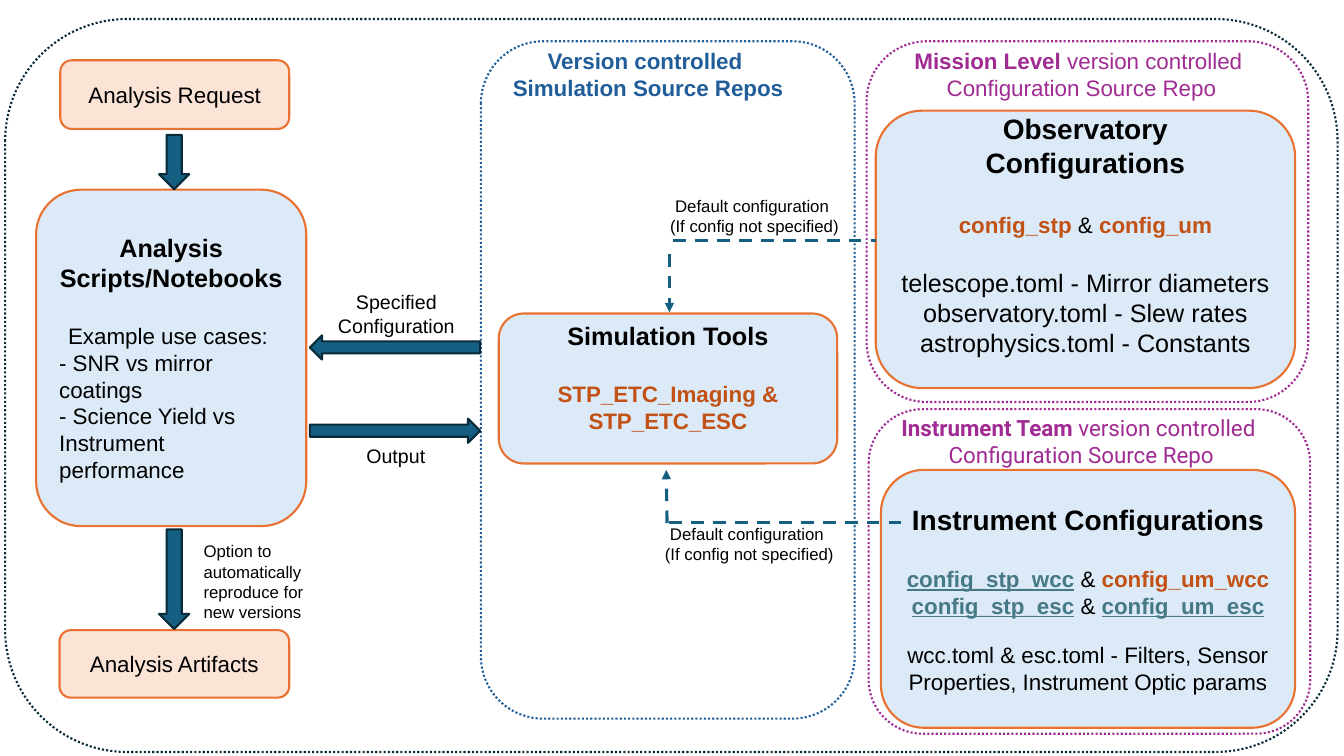
from dataclasses import dataclass

from lxml import etree
from pptx import Presentation
from pptx import util as u
from pptx.dml.color import RGBColor
from pptx.enum import dml, shapes, text
from pptx.oxml.ns import qn

BLACK = RGBColor(0x00, 0x00, 0x00)
NAVY = RGBColor(0x09, 0x2A, 0x39)
TEAL = RGBColor(0x15, 0x60, 0x82)
BLUE = RGBColor(0x21, 0x5F, 0x9A)
TITLE_BLUE = RGBColor(0x21, 0x5E, 0x99)
PURPLE = RGBColor(0xA0, 0x2B, 0x93)
ORANGE = RGBColor(0xE9, 0x71, 0x32)
RUST = RGBColor(0xC2, 0x51, 0x15)
LINK = RGBColor(0x46, 0x78, 0x86)
PALE_BLUE = RGBColor(0xDC, 0xEA, 0xF7)
PEACH = RGBColor(0xFB, 0xE3, 0xD6)

CENTER = text.PP_ALIGN.CENTER
LEFT = text.PP_ALIGN.LEFT
SHAPE = shapes.MSO_SHAPE


@dataclass
class Span:
    text: str
    color: RGBColor = BLACK
    bold: bool = False
    underline: bool = False


@dataclass
class Para:
    spans: list
    size: float = 16
    align: int = CENTER
    before: float = 0


def line(words, size=16, color=BLACK, bold=False, align=CENTER, before=0):
    """Paragraph made of a single span."""
    return Para([Span(words, color, bold)], size, align, before)


class Diagram:
    def __init__(self, slide, font="Arial"):
        self.slide = slide
        self.font = font

    def shape(self, kind, place, fill, outline):
        shape = self.slide.shapes.add_shape(kind, *map(u.Cm, place))
        shape.shadow.inherit = False
        if fill is None:
            shape.fill.background()
        else:
            shape.fill.solid()
            shape.fill.fore_color.rgb = fill
        shape.line.color.rgb = outline
        shape.line.width = u.Pt(1.5)
        return shape

    def frame(self, place, color):
        frame = self.shape(SHAPE.ROUNDED_RECTANGLE, place, None, color)
        frame.line.dash_style = dml.MSO_LINE.ROUND_DOT

    def box(self, place, paras, fill=PALE_BLUE, bottom=0.13):
        box = self.shape(SHAPE.ROUNDED_RECTANGLE, place, fill, ORANGE)
        box.text_frame.vertical_anchor = text.MSO_ANCHOR.MIDDLE
        box.text_frame.margin_bottom = u.Cm(bottom)
        self.set_text(box.text_frame, paras)

    def arrow(self, kind, place):
        self.shape(kind, place, TEAL, NAVY)

    def label(self, place, paras, font=None):
        label = self.slide.shapes.add_textbox(*map(u.Cm, place))
        self.set_text(label.text_frame, paras, font)

    def set_text(self, frame, paras, font=None):
        frame.word_wrap = True
        for index, para in enumerate(paras):
            paragraph = frame.add_paragraph() if index else frame.paragraphs[0]
            paragraph.alignment = para.align
            paragraph.space_before = u.Pt(para.before)
            for span in para.spans:
                run = paragraph.add_run()
                run.text = span.text
                run.font.name = font or self.font
                run.font.size = u.Pt(para.size)
                run.font.bold = span.bold
                run.font.underline = span.underline
                run.font.color.rgb = span.color

    def dashed(self, start, end, head=False):
        link = self.slide.shapes.add_connector(
            shapes.MSO_CONNECTOR.STRAIGHT, *map(u.Cm, start + end))
        link.line.color.rgb = TEAL
        link.line.width = u.Pt(2.25)
        link.line.dash_style = dml.MSO_LINE.DASH
        properties = link._element.spPr
        if head:
            etree.SubElement(properties.get_or_add_ln(), qn("a:tailEnd"), type="triangle")
        etree.SubElement(properties, qn("a:effectLst"))


def draw_frames(diagram):
    diagram.frame((0.13, 0.48, 33.58, 18.47), NAVY)
    diagram.frame((12.12, 1.04, 9.42, 17.07), BLUE)
    diagram.frame((21.84, 1.04, 11.13, 9.09), PURPLE)
    diagram.frame((21.89, 10.31, 11.13, 8.18), PURPLE)
    diagram.label((11.18, 1.07, 10.31, 1.63), [
        line("Version controlled ", color=TITLE_BLUE, bold=True),
        line("Simulation Source Repos", color=TITLE_BLUE, bold=True)])
    for owner, place, font in (
            ("Mission Level ", (21.87, 1.07, 10.77, 1.63), "Arial"),
            ("Instrument Team ", (20.52, 10.31, 13.46, 1.63), "Roboto")):
        diagram.label(place, [
            Para([Span(owner, PURPLE, True), Span("version controlled ", PURPLE)]),
            line("Configuration Source Repo", color=PURPLE)], font)


def draw_analysis(diagram):
    diagram.box((1.52, 1.52, 5.77, 1.73), [line("Analysis Request")], PEACH)
    diagram.box((0.91, 4.78, 6.81, 8.48), [
        line("Analysis Scripts/Notebooks", 18, bold=True),
        line("Example use cases: ", before=20.7),
        line("- SNR vs mirror coatings", align=LEFT),
        line("- Science Yield vs Instrument performance", align=LEFT)])
    diagram.box((1.5, 15.88, 5.79, 1.7), [line("Analysis Artifacts")], PEACH)
    diagram.arrow(SHAPE.DOWN_ARROW, (4.01, 3.4, 0.76, 1.37))
    diagram.arrow(SHAPE.DOWN_ARROW, (4.01, 13.34, 0.76, 2.51))
    diagram.arrow(SHAPE.LEFT_ARROW, (7.81, 8.45, 4.29, 0.61))
    diagram.arrow(SHAPE.RIGHT_ARROW, (7.81, 10.55, 4.29, 0.61))
    diagram.label((4.88, 13.51, 4.6, 2.31), [
        line(words, 12, align=LEFT)
        for words in ("Option to automatically", "reproduce for", "new versions")])
    diagram.label((7.82, 7.19, 4.34, 1.45), [line("Specified Configuration", 14)])
    diagram.label((7.75, 11.05, 4.45, 0.86), [line("Output", 14)])


def draw_configurations(diagram):
    diagram.box((12.57, 7.9, 8.53, 3.78), [
        line("Simulation Tools", 18, bold=True),
        line("STP_ETC_Imaging & STP_ETC_ESC", color=RUST, bold=True, before=20.7),
    ], bottom=0.7)
    diagram.box((22.07, 2.79, 10.57, 6.99), [
        line("Observatory Configurations", 20, bold=True),
        Para([Span("config_stp ", RUST, True), Span("& "),
              Span("config_um", RUST, True)], before=23),
        line("telescope.toml - Mirror diameters", 18, before=20.7),
        line("observatory.toml - Slew rates", 18),
        line("astrophysics.toml - Constants", 18)], bottom=0.86)
    diagram.box((22.2, 11.84, 10.44, 6.5), [
        line("Instrument Configurations", 20, bold=True),
        Para([Span("config_stp_wcc", LINK, True, True), Span(" & "),
              Span("config_um_wcc", RUST, True)], before=20.7),
        Para([Span("config_stp_esc", LINK, True, True), Span(" & "),
              Span("config_um_esc", LINK, True, True)]),
        line("wcc.toml & esc.toml - Filters, Sensor Properties, "
             "Instrument Optic params", before=16.1)])
    for left, top in ((16.31, 4.8), (16.18, 13.08)):
        diagram.label((left, top, 5.41, 1.27), [
            line("Default configuration ", 12), line("(If config not specified)", 12)])
    diagram.dashed((16.97, 6.05), (22.07, 6.05))
    diagram.dashed((16.87, 6.4), (16.87, 7.87), head=True)
    diagram.dashed((16.87, 13.16), (22.71, 13.16))
    diagram.dashed((16.81, 13.18), (16.79, 11.84), head=True)


def main():
    deck = Presentation()
    deck.slide_width, deck.slide_height = u.Cm(33.87), u.Cm(19.05)
    diagram = Diagram(deck.slides.add_slide(deck.slide_layouts[6]))
    draw_frames(diagram)
    draw_analysis(diagram)
    draw_configurations(diagram)
    deck.save("out.pptx")


if __name__ == "__main__":
    main()
